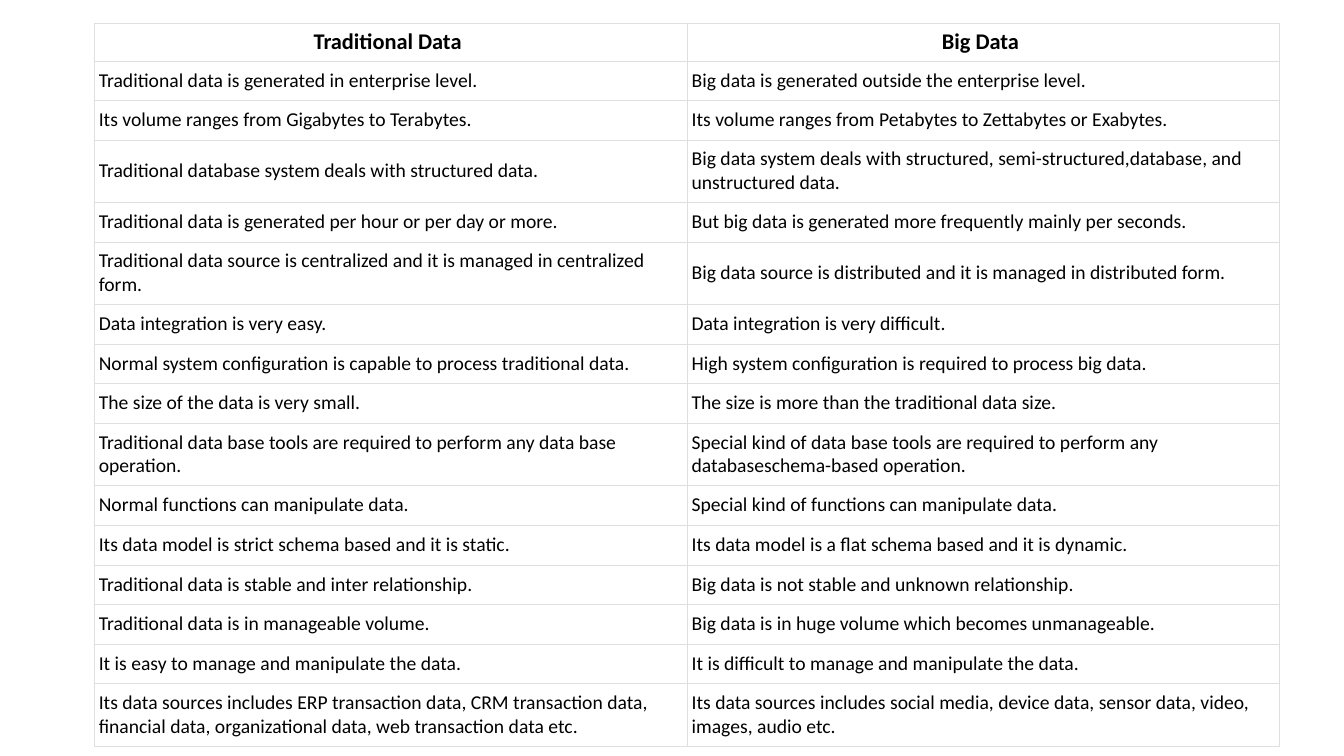
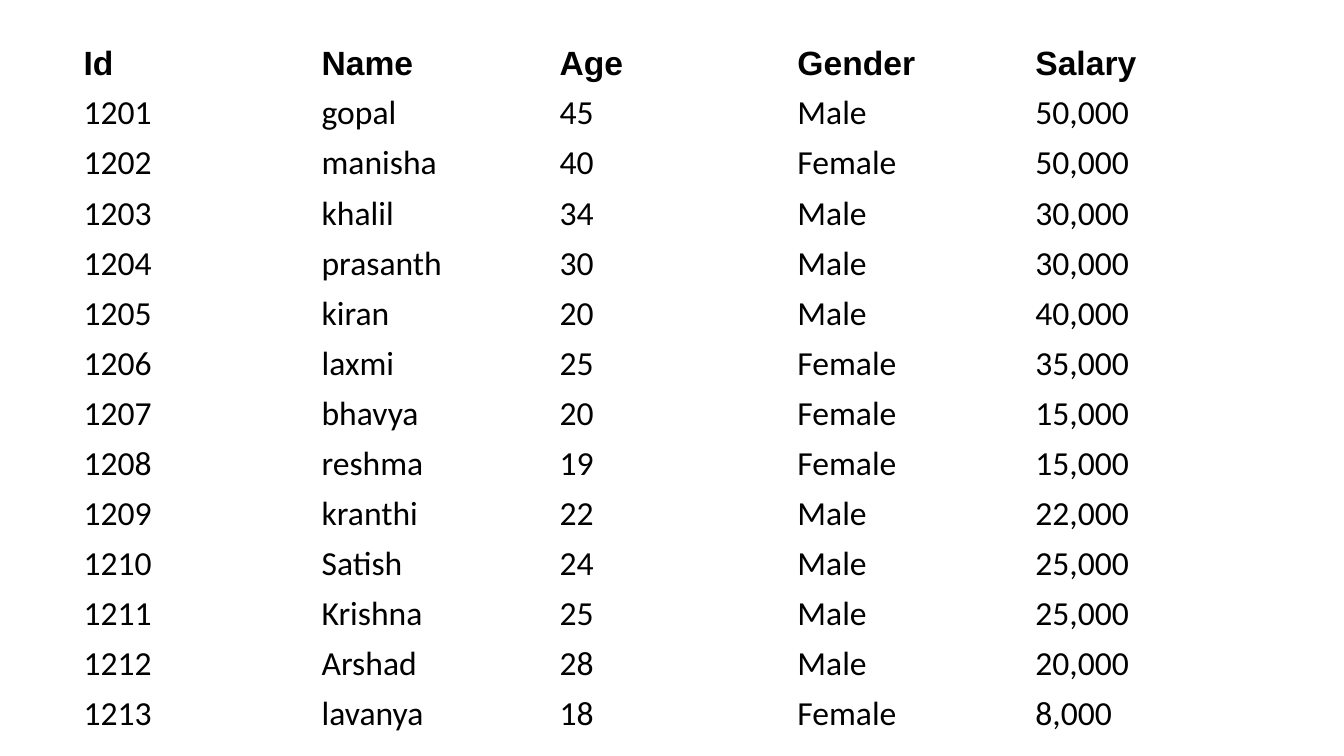
from dataclasses import dataclass

from lxml.etree import SubElement
from pptx import Presentation
from pptx.dml.color import RGBColor
from pptx.enum.text import MSO_ANCHOR as Anchor, PP_ALIGN as Align
from pptx.oxml.ns import qn
from pptx.util import Inches, Pt

BLACK = "000000"
WHITE = "FFFFFF"
GRID = "DFDFDF"
GRID_WIDTH = Pt(0.15)


@dataclass(frozen=True)
class CellStyle:
    size: int
    font: str
    pad_x: float
    pad_y: float
    bold: bool = False
    align: Align = Align.LEFT


@dataclass(frozen=True)
class TableSpec:
    """Rows missing from fixed_heights share the remaining height equally."""
    left: float
    top: float
    width: float
    height: float
    header: CellStyle
    body: CellStyle
    rows: list[tuple[str, ...]]
    fixed_heights: dict[int, float]
    bordered: bool


COMPARISON = [
    ("Traditional Data ", "Big Data "),
    ("Traditional data is generated in enterprise level.",
     "Big data is generated outside the enterprise level."),
    ("Its volume ranges from Gigabytes to Terabytes.",
     "Its volume ranges from Petabytes to Zettabytes or Exabytes."),
    ("Traditional database system deals with structured data.",
     "Big data system deals with structured, semi-structured,database, and unstructured data."),
    ("Traditional data is generated per hour or per day or more.",
     "But big data is generated more frequently mainly per seconds."),
    ("Traditional data source is centralized and it is managed in centralized form.",
     "Big data source is distributed and it is managed in distributed form."),
    ("Data integration is very easy.",
     "Data integration is very difficult."),
    ("Normal system configuration is capable to process traditional data.",
     "High system configuration is required to process big data."),
    ("The size of the data is very small.",
     "The size is more than the traditional data size."),
    ("Traditional data base tools are required to perform any data base operation.",
     "Special kind of data base tools are required to perform any "
     "databaseschema-based operation."),
    ("Normal functions can manipulate data.",
     "Special kind of functions can manipulate data."),
    ("Its data model is strict schema based and it is static.",
     "Its data model is a flat schema based and it is dynamic."),
    ("Traditional data is stable and inter relationship.",
     "Big data is not stable and unknown relationship."),
    ("Traditional data is in manageable volume.",
     "Big data is in huge volume which becomes unmanageable."),
    ("It is easy to manage and manipulate the data.",
     "It is difficult to manage and manipulate the data."),
    ("Its data sources includes ERP transaction data, CRM transaction data, "
     "financial data, organizational data, web transaction data etc.",
     "Its data sources includes social media, device data, sensor data, video, "
     "images, audio etc."),
]

EMPLOYEES = [
    ("Id", "Name", "Age", "Gender", "Salary"),
    ("1201", "gopal", "45", "Male", "50,000"),
    ("1202", "manisha", "40", "Female", "50,000"),
    ("1203", "khalil", "34", "Male", "30,000"),
    ("1204", "prasanth", "30", "Male", "30,000"),
    ("1205", "kiran", "20", "Male", "40,000"),
    ("1206", "laxmi", "25", "Female", "35,000"),
    ("1207", "bhavya", "20", "Female", "15,000"),
    ("1208", "reshma", "19", "Female", "15,000"),
    ("1209", "kranthi", "22", "Male", "22,000"),
    ("1210", "Satish", "24", "Male", "25,000"),
    ("1211", "Krishna", "25", "Male", "25,000"),
    ("1212", "Arshad", "28", "Male", "20,000"),
    ("1213", "lavanya", "18", "Female", "8,000"),
]

TWO_LINES = 0.62
TABLES = [
    TableSpec(
        0.93, 0.23, 11.76, 7.17,
        header=CellStyle(16, "Calibri", 0.05, 0.05, bold=True, align=Align.CENTER),
        body=CellStyle(14, "Calibri", 0.05, 0.07),
        rows=COMPARISON,
        fixed_heights={0: 0.37} | dict.fromkeys((3, 5, 9, 15), TWO_LINES),
        bordered=True,
    ),
    TableSpec(
        0.8, 0.38, 11.8, 6.96,
        header=CellStyle(24, "Arial", 0.03, 0.03, bold=True),
        body=CellStyle(24, "Calibri", 0.03, 0.03),
        rows=EMPLOYEES,
        fixed_heights={},
        bordered=False,
    ),
]


def rgb(color: str) -> RGBColor:
    return RGBColor.from_string(color)


def add_borders(cell) -> None:
    """Add the four edge lines; call before the fill, which must follow them."""
    tc_pr = cell._tc.get_or_add_tcPr()
    for edge in ("a:lnL", "a:lnR", "a:lnT", "a:lnB"):
        line = SubElement(tc_pr, qn(edge), w=str(int(GRID_WIDTH)))
        fill = SubElement(line, qn("a:solidFill"))
        SubElement(fill, qn("a:srgbClr"), val=GRID)


def fill_cell(cell, text: str, style: CellStyle) -> None:
    cell.fill.solid()
    cell.fill.fore_color.rgb = rgb(WHITE)
    cell.vertical_anchor = Anchor.MIDDLE
    cell.margin_left = cell.margin_right = Inches(style.pad_x)
    cell.margin_top = cell.margin_bottom = Inches(style.pad_y)
    p = cell.text_frame.paragraphs[0]
    p.alignment = style.align
    r = p.add_run()
    r.text = text
    r.font.name = style.font
    r.font.size = Pt(style.size)
    r.font.bold = style.bold
    r.font.color.rgb = rgb(BLACK)


def draw_table(s, spec: TableSpec) -> None:
    n_rows, n_cols = len(spec.rows), len(spec.rows[0])
    table = s.shapes.add_table(
        n_rows, n_cols, Inches(spec.left), Inches(spec.top),
        Inches(spec.width), Inches(spec.height)).table
    table.horz_banding = False
    fixed = spec.fixed_heights
    shared = (spec.height - sum(fixed.values())) / (n_rows - len(fixed))
    for i, texts in enumerate(spec.rows):
        table.rows[i].height = Inches(fixed.get(i, shared))
        style = spec.body if i else spec.header
        for j, text in enumerate(texts):
            cell = table.cell(i, j)
            if spec.bordered:
                add_borders(cell)
            fill_cell(cell, text, style)


def main() -> None:
    prs = Presentation()
    prs.slide_width, prs.slide_height = Inches(13.33), Inches(7.5)
    blank = prs.slide_layouts[6]
    for spec in TABLES:
        draw_table(prs.slides.add_slide(blank), spec)
    prs.save("out.pptx")


if __name__ == "__main__":
    main()
